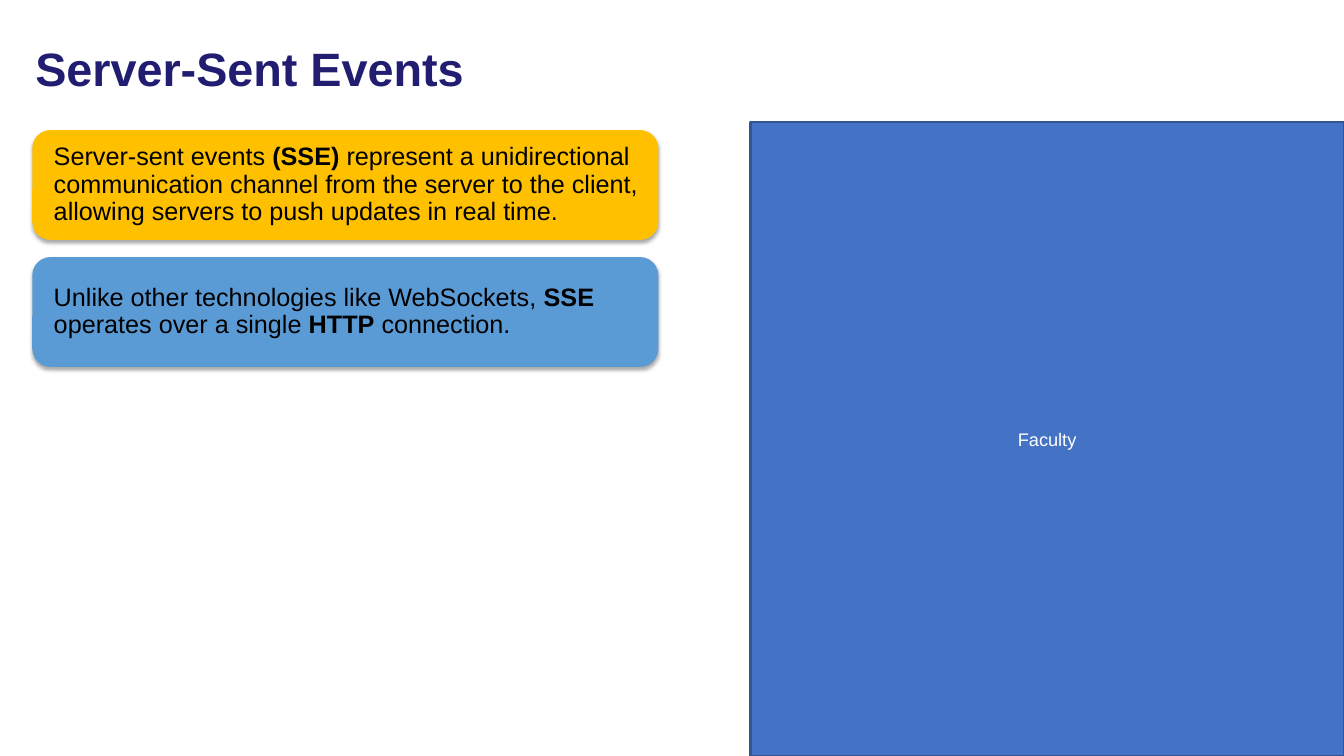
from dataclasses import dataclass

from lxml import etree
from pptx import Presentation
from pptx import util as u
from pptx.dml.color import RGBColor
from pptx.enum import shapes, text
from pptx.oxml.ns import qn


@dataclass(frozen=True)
class Theme:
    font: str = "Arial"
    navy: str = "211D70"
    amber: str = "FFC000"
    sky: str = "5B9BD5"
    blue: str = "4472C4"
    edge: str = "325491"
    black: str = "000000"
    white: str = "FFFFFF"
    title_size: float = 33.4
    body_size: float = 18
    label_size: float = 13


THEME = Theme()
SLIDE_W, SLIDE_H = 13.33, 7.5

# Card column: left edge, first row, row pitch and card size
CARD_X, CARD_Y, CARD_PITCH = 0.32, 1.29, 1.26
CARD_W, CARD_H = 6.21, 1.09

# Side panel reaches the right and bottom edges
PANEL_X, PANEL_Y = 7.44, 1.21

# Each card: fill colour and (words, bold) runs
CARDS = [
    (THEME.amber, [
        ("Server-sent events ", False),
        ("(SSE) ", True),
        ("represent a unidirectional communication channel from the server "
         "to the client, allowing servers to push updates in real time.", False),
    ]),
    (THEME.sky, [
        ("Unlike other technologies like WebSockets, ", False),
        ("SSE ", True),
        ("operates over a single ", False),
        ("HTTP", True),
        (" connection.", False),
    ]),
]


def rgb(value):
    return RGBColor.from_string(value)


def write(tf, runs, size, color, align, insets, spacing=None):
    """Fill a text frame with one paragraph of (words, bold) runs."""
    tf.word_wrap = True
    tf.auto_size = text.MSO_AUTO_SIZE.NONE
    tf.vertical_anchor = text.MSO_ANCHOR.MIDDLE
    tf.margin_left, tf.margin_top, tf.margin_right, tf.margin_bottom = map(u.Inches, insets)
    p = tf.paragraphs[0]
    p.alignment = align
    p.line_spacing = spacing
    for words, bold in runs:
        r = p.add_run()
        r.text = words
        r.font.name, r.font.size, r.font.bold = THEME.font, u.Pt(size), bold
        r.font.color.rgb = rgb(color)


def add_box(s, kind, box, fill):
    sp = s.shapes.add_shape(kind, *map(u.Inches, box))
    sp.shadow.inherit = False
    sp.fill.solid()
    sp.fill.fore_color.rgb = rgb(fill)
    sp.line.fill.background()
    return sp


def add_soft_shadow(sp):
    effects = sp.element.spPr.find(qn("a:effectLst"))
    shadow = etree.SubElement(effects, qn("a:outerShdw"), blurRad=str(u.Pt(3.1)),
                              dist=str(u.Pt(1.8)), dir="5400000", algn="ctr", rotWithShape="0")
    color = etree.SubElement(shadow, qn("a:srgbClr"), val=THEME.black)
    etree.SubElement(color, qn("a:alpha"), val="35000")


def add_title(s, words):
    sp = s.shapes.title
    sp.left, sp.top, sp.width, sp.height = map(u.Inches, (0.25, 0.25, 11.81, 0.91))
    write(sp.text_frame, [(words, True)], THEME.title_size, THEME.navy,
          text.PP_ALIGN.LEFT, (0.1, 0.05, 0.1, 0.05), 0.9)


def add_panel(s, label):
    sp = add_box(s, shapes.MSO_SHAPE.RECTANGLE,
                 (PANEL_X, PANEL_Y, SLIDE_W - PANEL_X, SLIDE_H - PANEL_Y), THEME.blue)
    sp.line.color.rgb = rgb(THEME.edge)
    sp.line.width = u.Pt(2)
    write(sp.text_frame, [(label, False)], THEME.label_size, THEME.white,
          text.PP_ALIGN.CENTER, (0.1, 0.05, 0.1, 0.05))


def add_card(s, row, fill, runs):
    sp = add_box(s, shapes.MSO_SHAPE.ROUNDED_RECTANGLE,
                 (CARD_X, CARD_Y + row * CARD_PITCH, CARD_W, CARD_H), fill)
    add_soft_shadow(sp)
    write(sp.text_frame, runs, THEME.body_size, THEME.black,
          text.PP_ALIGN.LEFT, (0.16, 0.07, 0.07, 0.07), 0.9)


def main():
    prs = Presentation()
    prs.slide_width, prs.slide_height = u.Inches(SLIDE_W), u.Inches(SLIDE_H)
    s = prs.slides.add_slide(prs.slide_layouts.get_by_name("Title Only"))

    add_panel(s, "Faculty")
    add_title(s, "Server-Sent Events")
    for row, (fill, runs) in enumerate(CARDS):
        add_card(s, row, fill, runs)

    prs.save("out.pptx")


if __name__ == "__main__":
    main()
